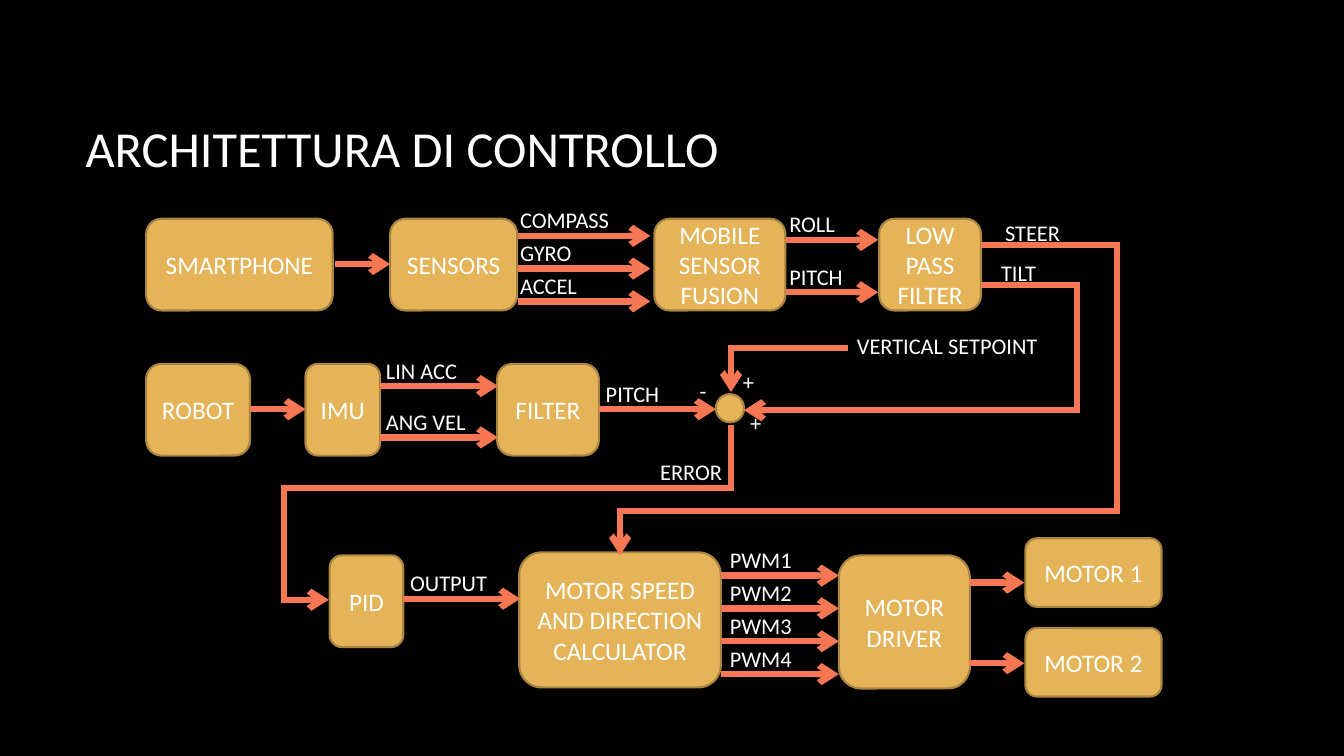
"""Build the control architecture slide: a block diagram with labelled signals."""
from dataclasses import dataclass
from itertools import pairwise
from math import copysign

from lxml.etree import SubElement
from pptx import Presentation
from pptx.dml.color import RGBColor
from pptx.enum.shapes import MSO_CONNECTOR, MSO_SHAPE
from pptx.enum.text import MSO_ANCHOR, MSO_AUTO_SIZE, PP_ALIGN
from pptx.oxml.ns import qn
from pptx.util import Inches, Length, Pt

COLORS = {
    "background": "000000",
    "block": "E5B458",
    "border": "A98541",
    "signal": "F77754",
    "text": "FFFFFF",
}
FONT = "Calibri"
COLUMNS, ROWS = 133.3, 75
LABEL_HEIGHT = 3.7
LABEL_RISE = 3.4
CORNER_OVERLAP = 0.3
Point = tuple[float, float]


@dataclass(frozen=True)
class Block:
    text: str
    col: float
    row: float
    cols: float
    rows: float = 9.1
    outline: MSO_SHAPE = MSO_SHAPE.ROUNDED_RECTANGLE


@dataclass(frozen=True)
class Label:
    text: str
    col: float
    row: float
    cols: float


@dataclass(frozen=True)
class Bundle:
    """Parallel arrows sharing both ends, each with an optional name and its width."""
    start: float
    end: float
    row: float
    step: float = 0
    label_col: float = 0
    names: tuple[tuple[str, float], ...] = (("", 0),)


@dataclass(frozen=True)
class Route:
    corners: tuple[Point, ...]


BLOCKS = [
    Block("SMARTPHONE", 14.5, 21.7, 18.5),
    Block("SENSORS", 38.7, 21.7, 12.6),
    Block("MOBILE SENSOR FUSION", 64.9, 21.7, 13),
    Block("LOW PASS FILTER", 87.2, 21.7, 10.1),
    Block("ROBOT", 14.5, 36.1, 10.3),
    Block("IMU", 30.3, 36.1, 7.4),
    Block("FILTER", 49.3, 36.1, 10.1),
    Block("", 71, 39.1, 2.8, 2.8, MSO_SHAPE.OVAL),
    Block("PID", 32.7, 55.1, 7.3),
    Block("MOTOR SPEED AND DIRECTION CALCULATOR", 51.5, 54.8, 20, 13.4),
    Block("MOTOR DRIVER", 83.2, 55.1, 13, 13.2),
    Block("MOTOR 1", 101.7, 53.4, 13.5, 6.8),
    Block("MOTOR 2", 101.7, 62.3, 13.5, 6.8),
]
BUNDLES = [
    Bundle(33.2, 38.7, 26.2),
    Bundle(51.4, 64.5, 23.4, 3.25, 50.6, (("COMPASS", 11), ("GYRO", 7.2), ("ACCEL", 7.7))),
    Bundle(78, 87.1, 23.8, 5.2, 77.3, (("ROLL", 6.6), ("PITCH", 7.4))),
    Bundle(24.8, 30.3, 40.6),
    Bundle(37.7, 49.4, 38.3, 5.1, 37.3, (("LIN ACC", 9.2), ("ANG VEL", 10))),
    Bundle(59.4, 71, 40.6, 0, 59.1, (("PITCH", 7.4),)),
    Bundle(40, 51.6, 59.4, 0, 39.7, (("OUTPUT", 9.7),)),
    Bundle(71.5, 83.2, 57.1, 3.26, 71.4, tuple((f"PWM{n}", 8.2) for n in range(1, 5))),
    Bundle(96.1, 101.6, 57.8, 8, 0, (("", 0),) * 2),
]
ROUTES = [
    Route(((84.1, 34.5), (72.5, 34.5), (72.5, 38.9))),
    Route(((97.3, 28.3), (106.8, 28.3), (106.8, 40.7), (73.8, 40.7))),
    Route(((72.5, 42.2), (72.5, 48.4), (28.2, 48.4), (28.2, 59.5), (32.6, 59.5))),
    Route(((97.3, 24.3), (110.8, 24.3), (110.8, 50.7), (61.5, 50.7), (61.5, 55.1))),
]
LABELS = [
    Label("STEER", 98.7, 21.2, 7.6),
    Label("TILT", 98.3, 25.2, 5.5),
    Label("VERTICAL SETPOINT", 84, 32.5, 20.2),
    Label("-", 68.4, 36.9, 2.7),
    Label("+", 72.7, 36, 3.1),
    Label("+", 73.4, 40.1, 3.1),
    Label("ERROR", 64.5, 45, 8.3),
]


def grid(*cells: float) -> list[Length]:
    return [Inches(cell / 10) for cell in cells]


def color(part: str) -> RGBColor:
    return RGBColor.from_string(COLORS[part])


def style_text(frame, text: str, size: float) -> None:
    frame.text = text
    for run in frame.paragraphs[0].runs:
        run.font.name = FONT
        run.font.size = Pt(size)
        run.font.color.rgb = color("text")


def draw_title(slide, text: str) -> None:
    frame = slide.shapes.add_textbox(*grid(7.5, 6.7, 110.8, 15.9)).text_frame
    frame.word_wrap = True
    frame.vertical_anchor = MSO_ANCHOR.MIDDLE
    style_text(frame, text, 36)


def draw_block(slide, block: Block) -> None:
    body = slide.shapes.add_shape(
        block.outline, *grid(block.col, block.row, block.cols, block.rows))
    body.shadow.inherit = False
    body.fill.solid()
    body.fill.fore_color.rgb = color("block")
    body.line.color.rgb = color("border")
    body.line.width = Pt(1.5)
    if block.text:
        frame = body.text_frame
        frame.word_wrap = True
        frame.vertical_anchor = MSO_ANCHOR.MIDDLE
        style_text(frame, block.text, 18)
        frame.paragraphs[0].alignment = PP_ALIGN.CENTER


def draw_label(slide, label: Label) -> None:
    frame = slide.shapes.add_textbox(
        *grid(label.col, label.row, label.cols, LABEL_HEIGHT)).text_frame
    frame.word_wrap = False
    frame.auto_size = MSO_AUTO_SIZE.SHAPE_TO_FIT_TEXT
    style_text(frame, label.text, 16)


def draw_signal(slide, start: Point, end: Point, arrow: bool) -> None:
    signal = slide.shapes.add_connector(MSO_CONNECTOR.STRAIGHT, *grid(*start, *end))
    signal.line.color.rgb = color("signal")
    signal.line.width = Pt(4.5)
    properties = signal._element.spPr
    if arrow:
        SubElement(properties.find(qn("a:ln")), qn("a:tailEnd"), type="arrow")
    SubElement(properties, qn("a:effectLst"))


def beyond(start: Point, end: Point) -> Point:
    """Return the end moved past a corner so that joined segments overlap."""
    col, row = (
        b + (copysign(CORNER_OVERLAP, b - a) if a != b else 0) for a, b in zip(start, end))
    return col, row


def draw_route(slide, route: Route) -> None:
    last = len(route.corners) - 2
    for index, (start, end) in enumerate(pairwise(route.corners)):
        tip = end if index == last else beyond(start, end)
        origin = start if index == 0 else beyond(end, start)
        has_arrow = index == last
        draw_signal(slide, origin, tip, has_arrow)


def draw_bundle(slide, bundle: Bundle) -> None:
    for index, (name, width) in enumerate(bundle.names):
        row = bundle.row + index * bundle.step
        draw_signal(slide, (bundle.start, row), (bundle.end, row), True)
        if name:
            draw_label(slide, Label(name, bundle.label_col, row - LABEL_RISE, width))


def main() -> None:
    deck = Presentation()
    deck.slide_width, deck.slide_height = grid(COLUMNS, ROWS)
    slide = deck.slides.add_slide(deck.slide_layouts[6])
    slide.background.fill.solid()
    slide.background.fill.fore_color.rgb = color("background")
    draw_title(slide, "ARCHITETTURA DI CONTROLLO")
    for draw, parts in ((draw_block, BLOCKS), (draw_bundle, BUNDLES),
                        (draw_route, ROUTES), (draw_label, LABELS)):
        for part in parts:
            draw(slide, part)
    deck.save("out.pptx")


if __name__ == "__main__":
    main()
